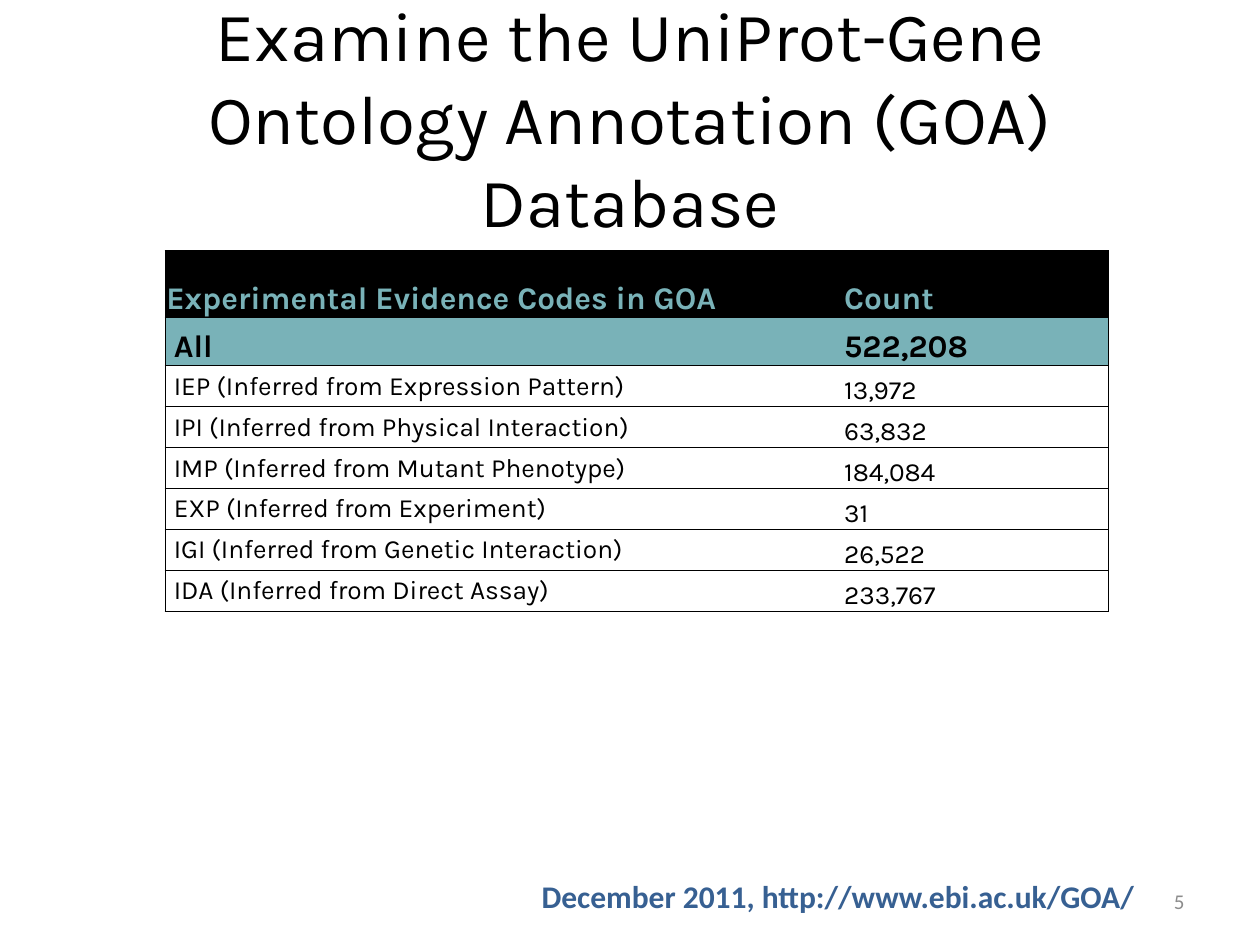
from dataclasses import dataclass

from lxml import etree
from pptx import Presentation
from pptx.dml.color import RGBColor
from pptx.enum.text import MSO_ANCHOR, PP_ALIGN
from pptx.oxml.ns import qn
from pptx.util import Inches, Pt

LEFT, CENTER, RIGHT = PP_ALIGN.LEFT, PP_ALIGN.CENTER, PP_ALIGN.RIGHT
TOP, MIDDLE, BOTTOM = MSO_ANCHOR.TOP, MSO_ANCHOR.MIDDLE, MSO_ANCHOR.BOTTOM


@dataclass(frozen=True)
class Theme:
    black: str = "000000"
    white: str = "FFFFFF"
    teal: str = "79B2B8"
    blue: str = "376092"
    gray: str = "8C8C8C"
    main_font: str = "Karla"
    footer_font: str = "Calibri"
    title_size: float = 39.6
    heading_size: int = 18
    body_size: int = 15
    number_size: int = 12


theme = Theme()


def write(text_frame, text, font_name, size, color, bold=False, align=LEFT):
    paragraph = text_frame.paragraphs[0]
    paragraph.alignment = align
    run = paragraph.add_run()
    run.text = text
    run.font.name = font_name
    run.font.size = Pt(size)
    run.font.bold = bold
    run.font.color.rgb = RGBColor.from_string(color)


def set_borders(cell, visible_sides):
    properties = cell._tc.get_or_add_tcPr()
    for index, side in enumerate(("L", "R", "T", "B")):
        line = etree.Element(qn(f"a:ln{side}"), w=str(Pt(0.5)))
        if side in visible_sides:
            fill = etree.SubElement(line, qn("a:solidFill"))
            etree.SubElement(fill, qn("a:srgbClr"), val=theme.black)
        else:
            etree.SubElement(line, qn("a:noFill"))
        properties.insert(index, line)


presentation = Presentation()
presentation.slide_width = Inches(10)
presentation.slide_height = Inches(7.5)
slide = presentation.slides.add_slide(presentation.slide_layouts[6])

# Title, slide number and source line
texts = [
    ((0.5, 0.3, 9, 1.25), MIDDLE, "Examine the UniProt-Gene Ontology Annotation (GOA) Database",
     theme.main_font, theme.title_size, theme.black, False, CENTER),
    ((7.17, 6.95, 2.33, 0.4), MIDDLE, "5",
     theme.footer_font, theme.number_size, theme.gray, False, RIGHT),
    ((4.2, 6.91, 4.93, 0.4), TOP, "December 2011, http://www.ebi.ac.uk/GOA/",
     theme.footer_font, theme.heading_size, theme.blue, True, LEFT),
]
for box, anchor, *style in texts:
    text_frame = slide.shapes.add_textbox(*map(Inches, box)).text_frame
    text_frame.word_wrap = True
    text_frame.vertical_anchor = anchor
    write(text_frame, *style)

# Evidence code table
rows = [
    ("Experimental Evidence Codes in GOA", "Count"),
    ("All", "522,208"),
    ("IEP (Inferred from Expression Pattern)", "13,972"),
    ("IPI (Inferred from Physical Interaction)", "63,832"),
    ("IMP (Inferred from Mutant Phenotype)", "184,084"),
    ("EXP (Inferred from Experiment)", "31"),
    ("IGI (Inferred from Genetic Interaction)", "26,522"),
    ("IDA (Inferred from Direct Assay)", "233,767"),
]
# Row height, fill, text colour, text size, bold, label anchor, label inset
header_style = (0.53, theme.black, theme.teal, theme.heading_size, True, BOTTOM, 0.01)
total_style = (0.38, theme.teal, theme.black, theme.heading_size, True, BOTTOM, 0.07)
body_style = (0.325, theme.white, theme.black, theme.body_size, False, MIDDLE, 0.07)
row_styles = [header_style, total_style] + [body_style] * (len(rows) - 2)

table = slide.shapes.add_table(
    len(rows), 2, Inches(1.31), Inches(1.99), Inches(7.49), Inches(2.86)).table
for column, width in zip(table.columns, (5.38, 2.11)):
    column.width = Inches(width)

for row, values, row_style in zip(table.rows, rows, row_styles):
    height, fill, color, size, bold, label_anchor, label_inset = row_style
    row.height = Inches(height)
    column_styles = [(label_anchor, label_inset, "LTB"), (BOTTOM, 0.01, "RTB")]
    for cell, value, (anchor, inset, sides) in zip(row.cells, values, column_styles):
        cell.margin_left = Inches(inset)
        cell.margin_right = cell.margin_top = Inches(0.01)
        cell.margin_bottom = 0
        cell.vertical_anchor = anchor
        cell.fill.solid()
        cell.fill.fore_color.rgb = RGBColor.from_string(fill)
        set_borders(cell, sides)
        write(cell.text_frame, value, theme.main_font, size, color, bold)

presentation.save("out.pptx")
